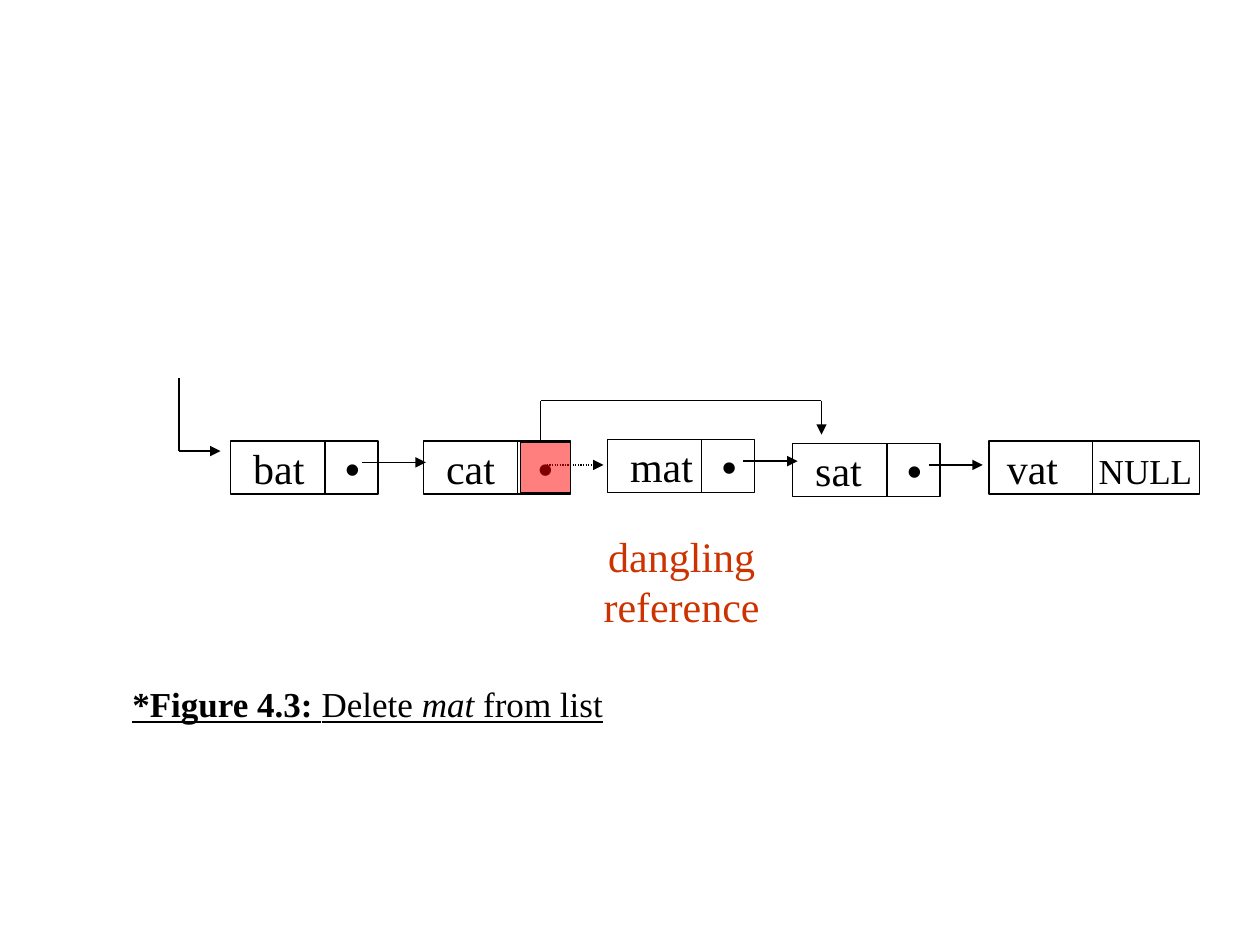
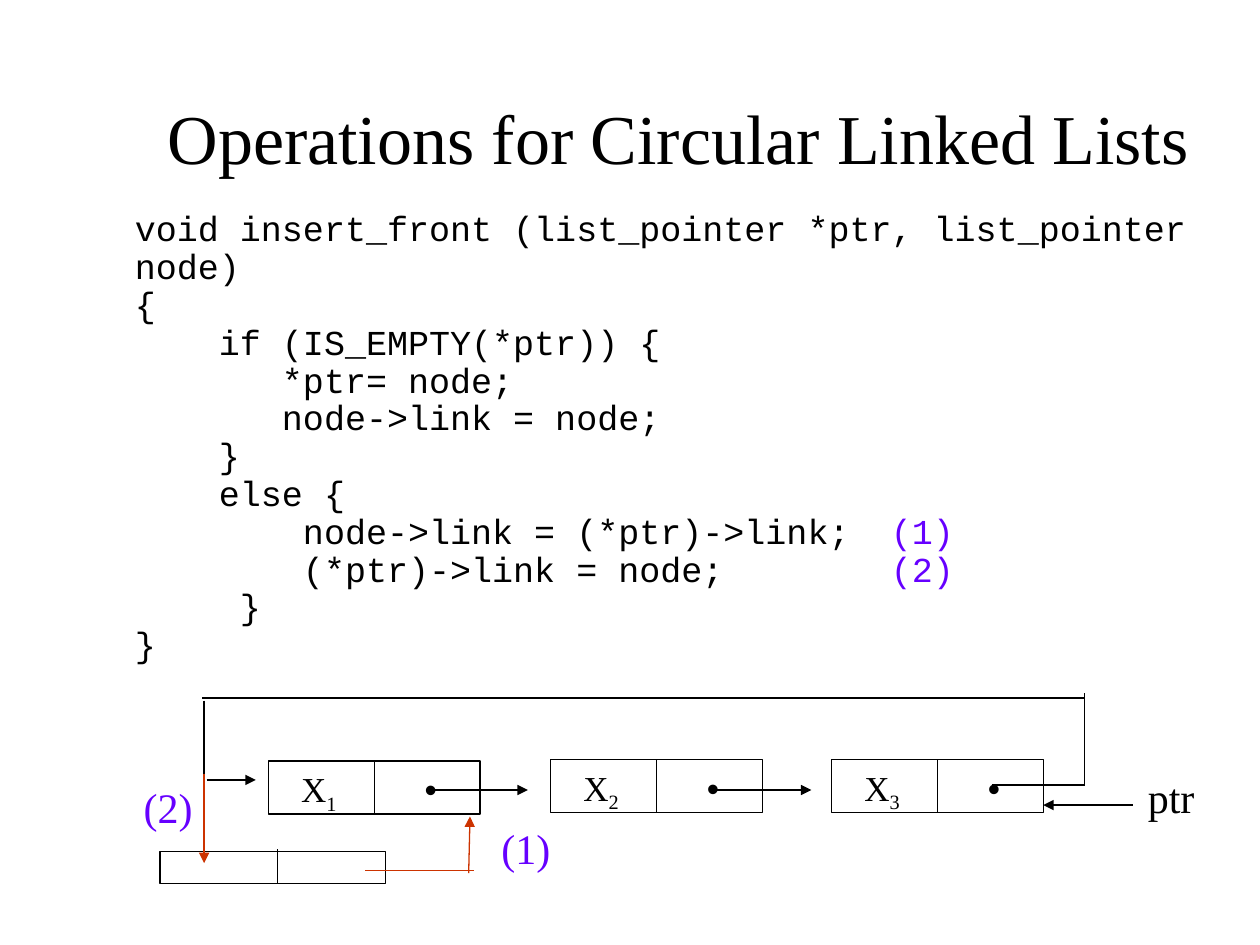
import pptx
import pptx.util
import pptx.dml.color
import pptx.enum.dml
import pptx.enum.shapes
import pptx.enum.text
import pptx.oxml.ns
import lxml.etree

Inches = pptx.util.Inches
BLACK, RUST, VIOLET, RED = "000000", "CC3300", "6600FF", "FF0000"
SERIF, MONO, DOT_FONT = "Times New Roman", "Courier New", "Arial"
DOT = ("\t•", {"font": DOT_FONT})

# Slide 1: the list before and after "mat" goes; each node is left, top, word
LIST_NODES = [(1.83, 3.5, "bat"), (3.36, 3.5, "cat"), (4.82, 3.49, "mat"),
              (6.29, 3.52, "sat")]
LAST_NODE = (7.85, 3.5, "vat")
NODE_W, LAST_W, NODE_H = 1.17, 1.67, 0.42
NODE_CUT, LAST_CUT = 0.75, 0.82
WORD_TAB = 0.73
CAPTION = [("*Figure 4.3: ", {"bold": True}), ("Delete", {}),
           (" mat", {"italic": True}), (" from list", {})]
# Lines: corner points, colour, arrow at the end
LIST_LINES = [
    ([(1.42, 3), (1.42, 3.58), (1.75, 3.58)], BLACK, True),
    ([(2.87, 3.67), (3.38, 3.67)], BLACK, True),
    ([(5.9, 3.66), (6.33, 3.66)], BLACK, True),
    ([(7.37, 3.69), (7.8, 3.69)], BLACK, True),
    ([(4.29, 3.5), (4.29, 3.18), (6.52, 3.18), (6.52, 3.45)], BLACK, True),
]

# Slide 2: circular list
TITLE = "Operations for Circular Linked Lists"
CODE = [
    "void insert_front (list_pointer *ptr, list_pointer node)",
    "{",
    "    if (IS_EMPTY(*ptr)) {",
    "       *ptr= node;",
    "       node->link = node;",
    "    }",
    "    else {",
    ("        node->link = (*ptr)->link;", "(1)"),
    ("        (*ptr)->link = node;", "(2)"),
    "     }",
    "}",
]
RING_NODES = [(2.13, 6.04, "1"), (4.37, 6.03, "2"), (6.6, 6.03, "3")]
RING_W = 1.68
RING_LINES = [
    ([(3.42, 6.27), (4.19, 6.27)], BLACK, True),
    ([(5.66, 6.27), (6.44, 6.27)], BLACK, True),
    ([(7.87, 6.23), (8.61, 6.23), (8.61, 5.5)], BLACK, False),
    ([(8.61, 5.54), (1.6, 5.54)], BLACK, False),
    ([(1.62, 5.56), (1.62, 6.22)], BLACK, False),
    ([(1.64, 6.19), (2.03, 6.19)], BLACK, True),
    ([(8.99, 6.39), (8.28, 6.39)], BLACK, True),
    ([(2.2, 6.74), (2.2, 7.02)], BLACK, False),
    ([(3.72, 6.93), (3.73, 6.48)], RUST, True),
    ([(2.9, 6.91), (3.76, 6.91)], RUST, False),
    ([(1.62, 6.14), (1.62, 6.85)], RUST, True),
]
RING_LABELS = [(3.98, 6.53, "(1)", VIOLET), (1.14, 6.2, "(2)", VIOLET),
               (9.11, 6.12, "ptr", BLACK)]


def rgb(code):
    return pptx.dml.color.RGBColor.from_string(code)


def child(parent, tag, **attrs):
    node = lxml.etree.SubElement(parent, pptx.oxml.ns.qn(tag))
    for key, value in attrs.items():
        node.set(key, str(value))
    return node


def style(font, name, size, color):
    font.name, font.size = name, pptx.util.Pt(size)
    font.color.rgb = rgb(color)


def fill_par(par, runs, size, color=BLACK, name=SERIF, tab=None):
    """Fill a paragraph from (text, changes) pairs."""
    if tab:
        stops = child(par._p.get_or_add_pPr(), "a:tabLst")
        child(stops, "a:tab", pos=Inches(tab), algn="l")
    style(par.font, name, size, color)
    for words, change in runs:
        run = par.add_run()
        run.text = words
        style(run.font, change.get("font", name), size,
              change.get("color", color))
        if "bold" in change:
            run.font.bold = change["bold"]
        if "italic" in change:
            run.font.italic = change["italic"]
        if "base" in change:
            run._r.get_or_add_rPr().set("baseline", str(change["base"]))


def add_text(slide, x, y, w, h, pars, size, **look):
    box = slide.shapes.add_textbox(*map(Inches, (x, y, w, h)))
    frame = box.text_frame
    frame.word_wrap = True
    frame.margin_left = frame.margin_right = 0
    frame.margin_top = frame.margin_bottom = 0
    for i, runs in enumerate(pars):
        par = frame.add_paragraph() if i else frame.paragraphs[0]
        fill_par(par, runs, size, **look)
    return frame


def add_line(slide, start, end, color=BLACK, arrow=False, dots=False):
    line = slide.shapes.add_connector(
        pptx.enum.shapes.MSO_CONNECTOR.STRAIGHT,
        *map(Inches, (*start, *end)))
    line.line.color.rgb = rgb(color)
    line.line.width = pptx.util.Pt(0.75)
    if dots:
        line.line.dash_style = pptx.enum.dml.MSO_LINE.ROUND_DOT
    if arrow:
        child(line.line._get_or_add_ln(), "a:tailEnd", type="triangle")
    child(line._element.spPr, "a:effectLst")
    return line


def add_paths(slide, paths):
    for points, color, arrow in paths:
        last = len(points) - 2
        for i, ends in enumerate(zip(points, points[1:])):
            add_line(slide, *ends, color, arrow and i == last)


def add_box(slide, x, y, w, h):
    box = slide.shapes.add_shape(pptx.enum.shapes.MSO_SHAPE.RECTANGLE,
                                 *map(Inches, (x, y, w, h)))
    box.shadow.inherit = False
    box.fill.background()
    box.line.color.rgb = rgb(BLACK)
    box.line.width = pptx.util.Pt(0.75)
    return box


def add_node(slide, x, y, w, cut=None):
    """Draw a two-part node, split at cut or in the middle."""
    box = add_box(slide, x, y, w, NODE_H)
    mid = x + (cut or w / 2)
    line = add_line(slide, (mid, y), (mid, y + NODE_H))
    if cut is None:
        line.begin_connect(box, 0)
        line.end_connect(box, 2)


def build_delete(deck):
    slide = deck.slides.add_slide(deck.slide_layouts[6])
    # Nodes and their words
    for x, y, word in LIST_NODES:
        add_node(slide, x, y, NODE_W, NODE_CUT)
        add_text(slide, x + 0.18, y + 0.01, 0.95, 0.4,
                 [[(word, {}), DOT]], 24, tab=WORD_TAB)
    x, y, word = LAST_NODE
    add_node(slide, x, y, LAST_W, LAST_CUT)
    frame = add_text(slide, x + 0.14, y + 0.01, 1.52, 0.4,
                     [[(word, {})]], 24, tab=WORD_TAB)
    null = frame.paragraphs[0].add_run()
    null.text = "\tNULL"
    style(null.font, SERIF, 20, BLACK)
    # Links
    add_paths(slide, LIST_LINES)
    add_line(slide, (4.34, 3.69), (4.79, 3.69), arrow=True, dots=True)
    # Changed link field
    field = add_box(slide, 4.13, 3.51, 0.4, 0.4)
    field.fill.solid()
    field.fill.fore_color.rgb = rgb(RED)
    tint = field._element.spPr.find(".//" + pptx.oxml.ns.qn("a:srgbClr"))
    child(tint, "a:alpha", val=50000)
    # Labels
    frame = add_text(slide, 4.69, 4.21, 1.44, 0.8,
                     [[("dangling", {})], [("reference", {})]], 24, color=RUST)
    for par in frame.paragraphs:
        par.alignment = pptx.enum.text.PP_ALIGN.CENTER
    frame = add_text(slide, 1.05, 5.42, 3.9, 0.34, [CAPTION], 20)
    for run in frame.paragraphs[0].runs:
        run.font.underline = True


def build_ring(deck):
    slide = deck.slides.add_slide(deck.slide_layouts[5])
    # Title
    title = slide.shapes.title
    title.left, title.top, title.width, title.height = map(
        Inches, (0.78, 0.46, 9.21, 1.25))
    title.text_frame.vertical_anchor = pptx.enum.text.MSO_ANCHOR.MIDDLE
    par = title.text_frame.paragraphs[0]
    par.alignment = pptx.enum.text.PP_ALIGN.CENTER
    fill_par(par, [(TITLE, {})], 40)
    # Code, with step marks at a tab stop
    pars = [[(row, {})] if isinstance(row, str) else
            [(row[0], {}), ("\t" + row[1], {"color": VIOLET})]
            for row in CODE]
    frame = add_text(slide, 1.07, 1.68, 8.38, 4.33, pars, 20,
                     name=MONO, tab=6)
    for par in frame.paragraphs:
        par.line_spacing = 0.9
    # Nodes
    for x, y, num in RING_NODES:
        add_node(slide, x, y, RING_W)
        add_text(slide, x + 0.26, y + 0.05, 1.2, 0.38,
                 [[("X", {}), (num, {"base": -25000}), DOT]], 20, tab=0.98)
    add_box(slide, 1.27, 6.76, 1.79, 0.25)
    # Links and labels
    add_paths(slide, RING_LINES)
    for x, y, word, color in RING_LABELS:
        add_text(slide, x, y, 0.5, 0.4, [[(word, {})]], 24, color=color)


def main():
    deck = pptx.Presentation()
    deck.slide_width, deck.slide_height = Inches(10), Inches(7.5)
    build_delete(deck)
    build_ring(deck)
    deck.save("out.pptx")


if __name__ == "__main__":
    main()
